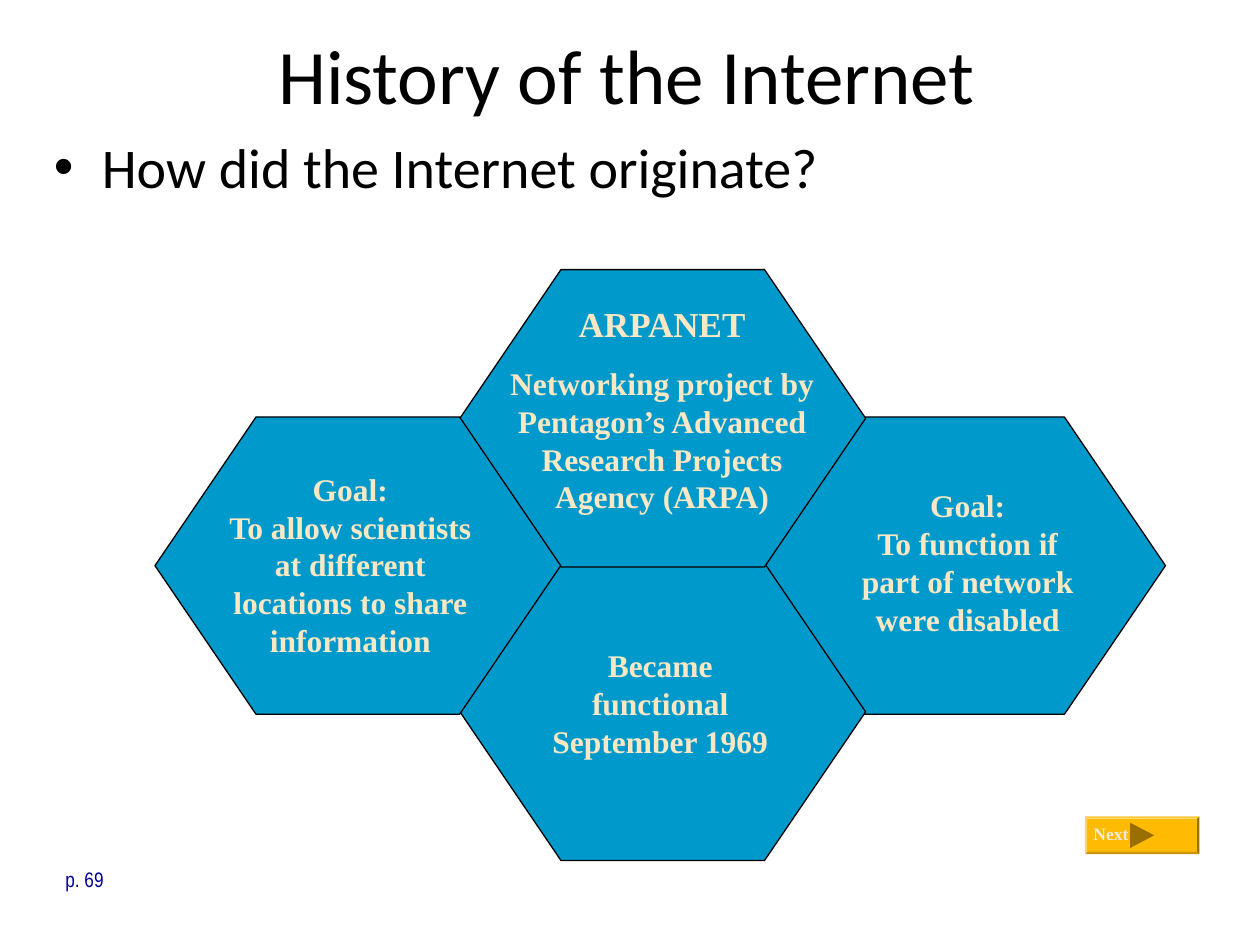
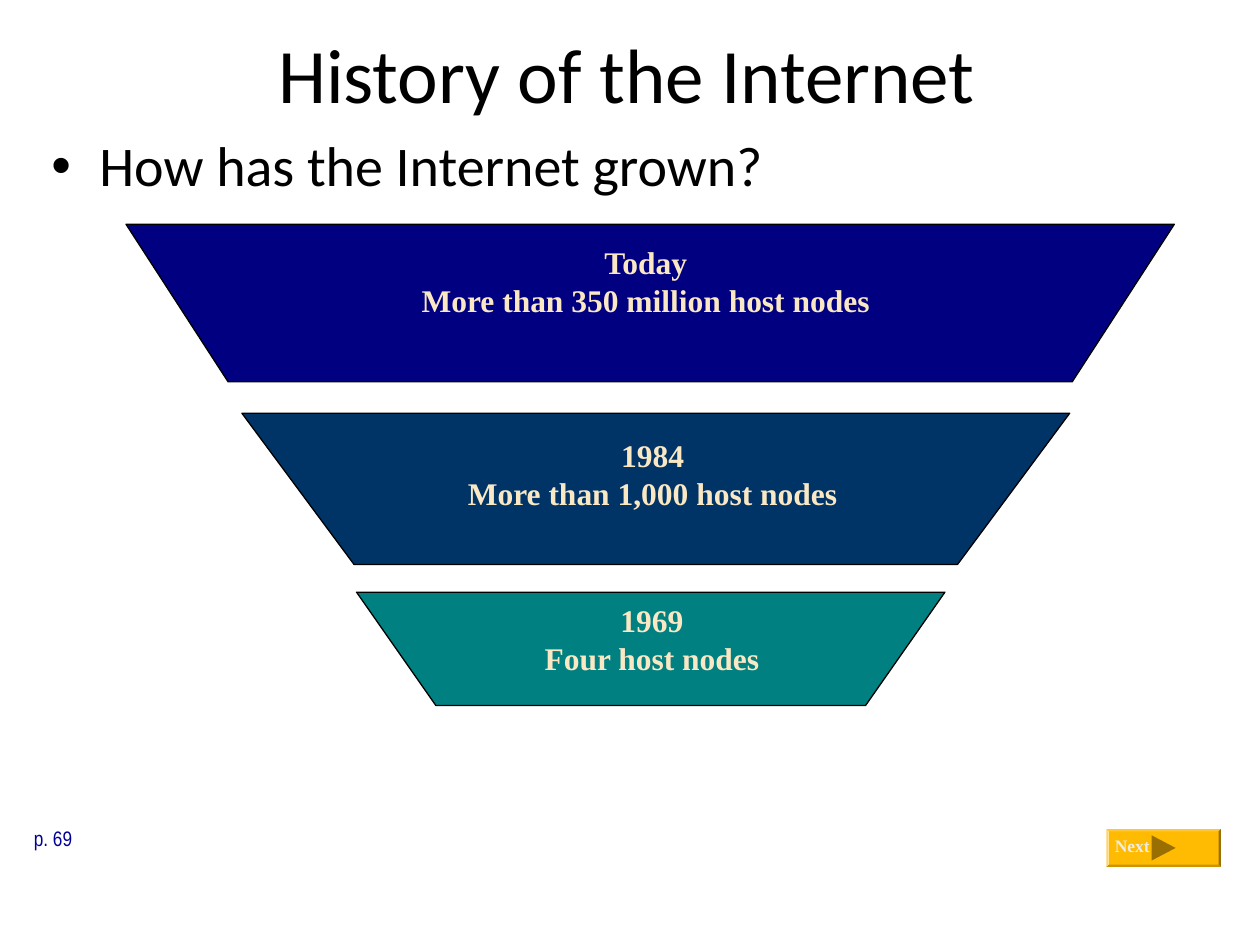
from dataclasses import dataclass

from lxml import etree
from pptx import Presentation
from pptx.dml.color import RGBColor
from pptx.enum.shapes import MSO_SHAPE
from pptx.enum.text import MSO_ANCHOR, MSO_AUTO_SIZE, PP_ALIGN
from pptx.oxml.ns import qn
from pptx.util import Inches, Pt

HEXAGON, BEVEL = MSO_SHAPE.HEXAGON, MSO_SHAPE.BEVEL
TOP, NO_FIT = MSO_ANCHOR.TOP, MSO_AUTO_SIZE.NONE
LEFT, CENTER = PP_ALIGN.LEFT, PP_ALIGN.CENTER


@dataclass(frozen=True)
class Theme:
    heading_font: str = "Calibri"
    label_font: str = "Times New Roman"
    page_font: str = "Arial Narrow"
    ink: str = "000000"
    cream: str = "FAE8C4"
    page_blue: str = "000099"
    hexagon: str = "0099CC"
    button: str = "FFBA02"
    button_arrow: str = "996F01"
    button_text: str = "EEECE1"
    title_size: int = 44
    question_size: int = 32
    name_size: int = 20
    label_size: int = 18
    page_size: int = 12
    button_size: int = 10


theme = Theme()


def write(box, paragraphs, font, size, color, bold=False, align=LEFT):
    """Fill a box with paragraphs; a line feed inside one is a line break."""
    frame = box.text_frame
    frame.word_wrap = True
    frame.auto_size = NO_FIT
    frame.vertical_anchor = TOP
    for index, text in enumerate(paragraphs):
        para = frame.paragraphs[0] if index == 0 else frame.add_paragraph()
        para.alignment = align
        for number, line in enumerate(text.split("\n")):
            if number:
                para.add_line_break()
            span = para.add_run()
            span.text = line
            span.font.name = font
            span.font.size = Pt(size)
            span.font.bold = bold
            span.font.color.rgb = RGBColor.from_string(color)
    return frame


def paint(shape, fill, outlined=True):
    shape.shadow.inherit = False
    shape.fill.solid()
    shape.fill.fore_color.rgb = RGBColor.from_string(fill)
    if outlined:
        shape.line.color.rgb = RGBColor.from_string(theme.ink)
        shape.line.width = Pt(0.75)
    else:
        shape.line.fill.background()


deck = Presentation()
deck.slide_width, deck.slide_height = Inches(10), Inches(7.5)

# What both slides share: title, question, page reference and Next button
# question, title place, question place, line spacing, page place, button corner
frames = [
    ("How did the Internet originate?", (0.5, 0.17, 8.95, 0.73),
     (0.33, 1, 9.39, 0.72), 1.0, (0.42, 6.83, 1.08, 0.3), (8.61, 6.48)),
    ("How has the Internet grown?", (0.5, 0.16, 8.95, 0.67),
     (0.31, 1.05, 9.39, 0.6), 0.9, (0.17, 6.5, 1.69, 0.3), (8.78, 6.58)),
]
pages = []
for question, title_place, question_place, spacing, page_place, corner in frames:
    page = deck.slides.add_slide(deck.slide_layouts[5])
    pages.append(page)

    title = page.shapes.title
    title.left, title.top, title.width, title.height = map(Inches, title_place)
    write(title, ["History of the Internet"], theme.heading_font,
          theme.title_size, theme.ink, align=CENTER)

    box = page.shapes.add_textbox(*map(Inches, question_place))
    para = box.text_frame.paragraphs[0]
    properties = para._p.get_or_add_pPr()
    properties.set("marL", str(Inches(0.38)))
    properties.set("indent", str(Inches(-0.38)))
    etree.SubElement(properties, qn("a:buFont")).set("typeface", "Arial")
    etree.SubElement(properties, qn("a:buChar")).set("char", "•")
    para.line_spacing = spacing
    write(box, [question], theme.heading_font, theme.question_size, theme.ink)

    box = page.shapes.add_textbox(*map(Inches, page_place))
    write(box, ["p. 69"], theme.page_font, theme.page_size, theme.page_blue)

    left, top = corner
    button = page.shapes.add_shape(BEVEL, *map(Inches, (left, top, 0.91, 0.3)))
    button.adjustments[0] = 0.06
    paint(button, theme.button, outlined=False)
    arrow_left, arrow_top = left + 0.36, top + 0.05
    builder = page.shapes.build_freeform(Inches(arrow_left), Inches(arrow_top))
    builder.add_line_segments([
        (Inches(arrow_left + 0.19), Inches(arrow_top + 0.1)),
        (Inches(arrow_left), Inches(arrow_top + 0.2)),
    ])
    paint(builder.convert_to_shape(), theme.button_arrow, outlined=False)
    box = page.shapes.add_textbox(*map(Inches, (left - 0.03, top, 0.51, 0.27)))
    frame = write(box, ["Next"], theme.label_font, theme.button_size,
                  theme.button_text, bold=True)
    frame.word_wrap = False

origin_page, growth_page = pages

# Honeycomb: hexagon corner, label place, label paragraphs
hexagons = [
    ((6.03, 3.31), (6.67, 3.81, 2.02, 1.3),
     ["Goal:\nTo function if part of network were disabled"]),
    ((3.65, 4.47), (4.2, 5.08, 2.08, 1),
     ["Became functional September 1969"]),
    ((3.65, 2.14), (3.94, 2.35, 2.63, 1.79),
     ["ARPANET",
      "Networking project by Pentagon’s Advanced Research Projects Agency (ARPA)"]),
    ((1.23, 3.31), (1.67, 3.68, 2.22, 1.61),
     ["Goal:\nTo allow scientists at different locations to share information"]),
]
for corner, place, paragraphs in hexagons:
    cell = origin_page.shapes.add_shape(HEXAGON, *map(Inches, (*corner, 3.22, 2.36)))
    cell.adjustments[0] = 0.34
    paint(cell, theme.hexagon)
    box = origin_page.shapes.add_textbox(*map(Inches, place))
    frame = write(box, paragraphs, theme.label_font, theme.label_size,
                  theme.cream, bold=True, align=CENTER)
    if len(paragraphs) > 1:
        name, description = frame.paragraphs
        name.runs[0].font.size = Pt(theme.name_size)
        description.space_before = Pt(11.2)

# Funnel: left, top, width, height, slant, fill, label place, top inset, text
funnel = [
    (1, 1.78, 8.32, 1.25, 0.81, "000080", (1, 1.78, 8.25, 0.8), 0.15,
     ["Today", "More than 350 million host nodes"]),
    (1.92, 3.28, 6.57, 1.2, 0.89, "003366", (1.93, 3.36, 6.5, 0.75), 0.1,
     ["1984", "More than 1,000 host nodes"]),
    (2.83, 4.7, 4.67, 0.9, 0.63, "008080", (2.91, 4.72, 4.53, 0.7), 0.05,
     ["1969", "Four host nodes"]),
]
for left, top, width, height, slant, fill, place, inset, paragraphs in funnel:
    right, bottom = left + width, top + height
    builder = growth_page.shapes.build_freeform(Inches(left), Inches(top))
    builder.add_line_segments([
        (Inches(left + slant), Inches(bottom)),
        (Inches(right - slant), Inches(bottom)),
        (Inches(right), Inches(top)),
    ])
    paint(builder.convert_to_shape(), fill)
    box = growth_page.shapes.add_textbox(*map(Inches, place))
    frame = write(box, paragraphs, theme.label_font, theme.label_size,
                  theme.cream, bold=True, align=CENTER)
    frame.margin_top = Inches(inset)

deck.save("out.pptx")
